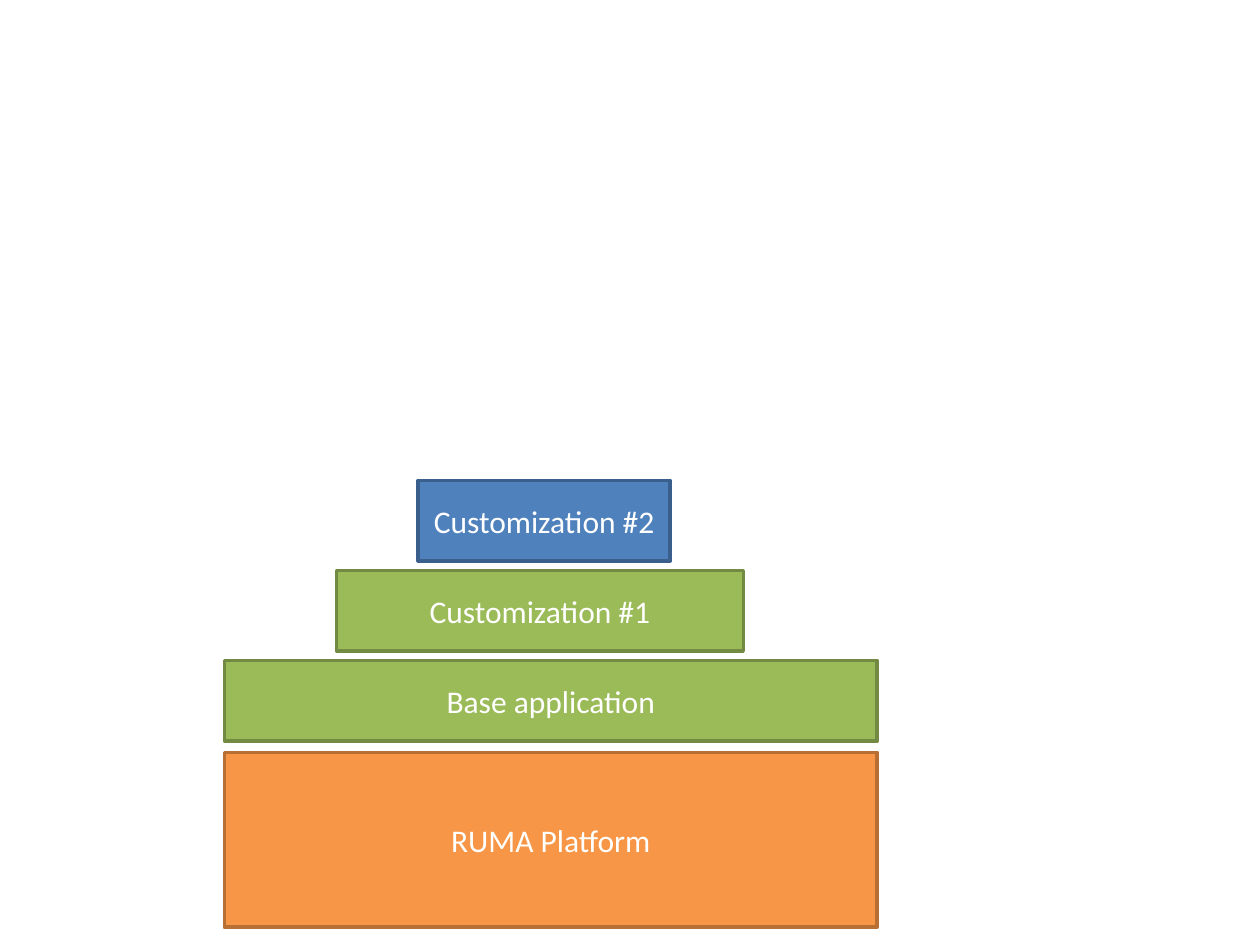
from pptx import Presentation
from pptx.dml.color import RGBColor as Color
from pptx.enum.shapes import MSO_SHAPE as Shape
from pptx.enum.text import MSO_ANCHOR as Anchor, PP_ALIGN as Align
from pptx.util import Pt

GREEN = ("9BBB59", "738A42")
ORANGE = ("F79646", "B76F34")
BLUE = ("4F81BD", "3A5F8C")

# label, left, top, width, height, (fill, line)
LAYERS = [
    ("Base application", 128.2, 377.4, 373, 46, GREEN),
    ("RUMA Platform", 128.2, 429.9, 373, 100, ORANGE),
    ("Customization #1", 192.3, 326, 232.5, 46, GREEN),
    ("Customization #2", 239, 274.5, 144, 46, BLUE),
]


def paint(target, value):
    """Set a colour format from a hex string."""
    target.rgb = Color.from_string(value)


def add_layer(slide, label, left, top, width, height, tones):
    """Add one labelled block of the stack."""
    box = slide.shapes.add_shape(
        Shape.RECTANGLE, Pt(left), Pt(top), Pt(width), Pt(height))
    box.shadow.inherit = False
    fill, line = tones
    box.fill.solid()
    paint(box.fill.fore_color, fill)
    paint(box.line.color, line)
    box.line.width = Pt(2)
    frame = box.text_frame
    frame.word_wrap = True
    frame.vertical_anchor = Anchor.MIDDLE
    para = frame.paragraphs[0]
    para.text = label
    para.alignment = Align.CENTER
    para.font.name = "Calibri"
    para.font.size = Pt(18)
    paint(para.font.color, "FFFFFF")


def main():
    """Build the slide with its stack of layers."""
    deck = Presentation()
    deck.slide_width, deck.slide_height = Pt(720), Pt(540)
    slide = deck.slides.add_slide(deck.slide_layouts[6])
    for layer in LAYERS:
        add_layer(slide, *layer)
    deck.save("out.pptx")


main()
